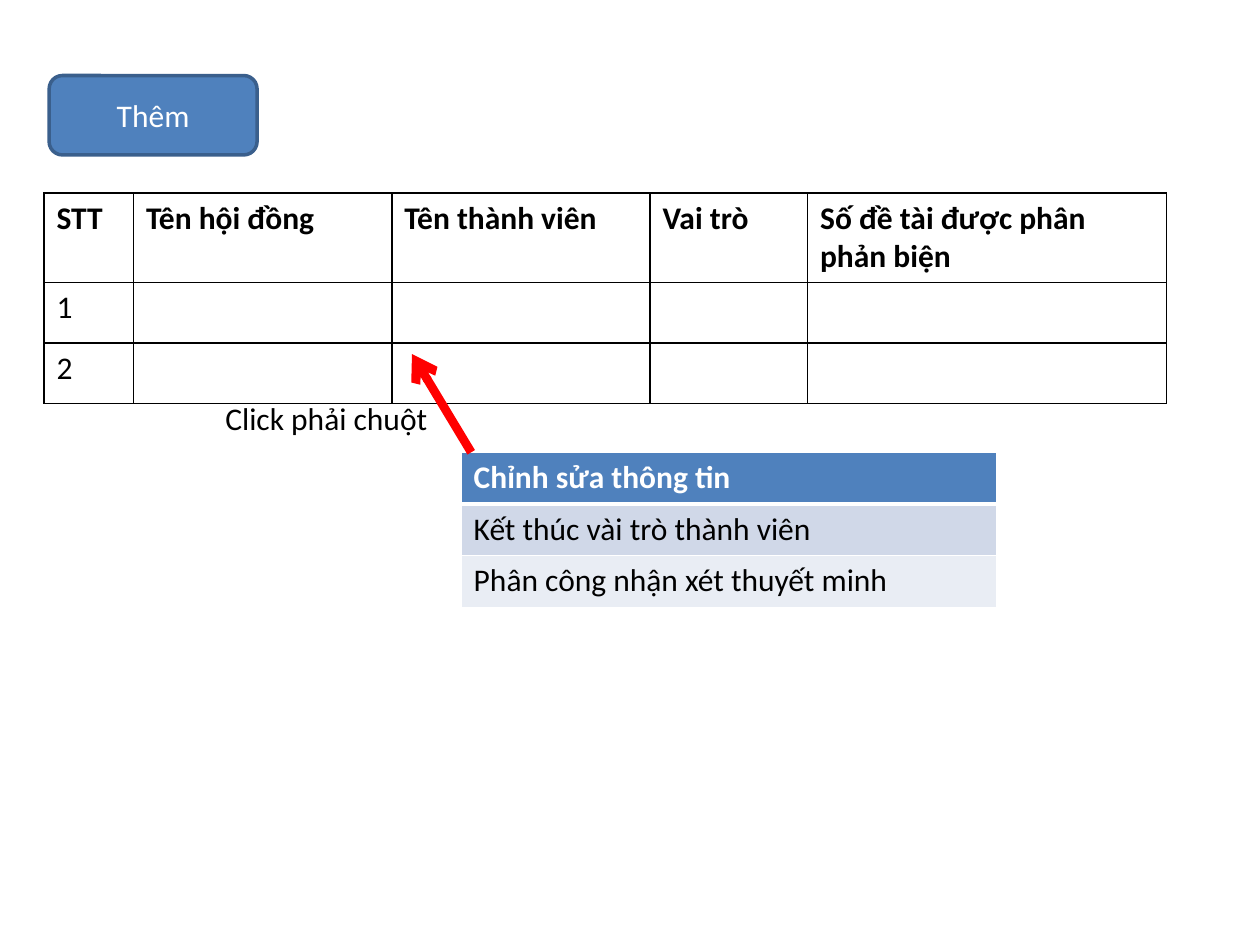
"""Build a slide with a committee table and its right-click menu."""
import pptx
import pptx.dml.color
import pptx.enum.shapes
import pptx.enum.text
import pptx.oxml.ns
import pptx.util
from lxml import etree
from pptx.util import Inches

BLACK = pptx.dml.color.RGBColor(0x00, 0x00, 0x00)
WHITE = pptx.dml.color.RGBColor(0xFF, 0xFF, 0xFF)
RED = pptx.dml.color.RGBColor(0xFF, 0x00, 0x00)
BLUE = pptx.dml.color.RGBColor(0x4F, 0x81, 0xBD)
DARK_BLUE = pptx.dml.color.RGBColor(0x3A, 0x5F, 0x8C)
BAND_DARK = pptx.dml.color.RGBColor(0xD0, 0xD8, 0xE8)
BAND_LIGHT = pptx.dml.color.RGBColor(0xE9, 0xED, 0xF4)


def write(frame, text, color=BLACK, bold=False, align=pptx.enum.text.PP_ALIGN.LEFT):
    para = frame.paragraphs[0]
    para.alignment = align
    para.font.size = pptx.util.Pt(18)
    if text:
        span = para.add_run()
        span.text = text
        span.font.name = "Calibri"
        span.font.size = pptx.util.Pt(18)
        span.font.bold = bold
        span.font.color.rgb = color


def set_borders(cell, color, bottom=1):
    properties = cell._tc.get_or_add_tcPr()
    for side, width in (("lnL", 1), ("lnR", 1), ("lnT", 1), ("lnB", bottom)):
        line = etree.SubElement(properties, pptx.oxml.ns.qn(f"a:{side}"), w=str(pptx.util.Pt(width)))
        fill = etree.SubElement(line, pptx.oxml.ns.qn("a:solidFill"))
        etree.SubElement(fill, pptx.oxml.ns.qn("a:srgbClr"), val=str(color))


deck = pptx.Presentation()
deck.slide_width = Inches(10)
deck.slide_height = Inches(7.5)
page = deck.slides.add_slide(deck.slide_layouts[6])

member_rows = [
    ["STT", "Tên hội đồng", "Tên thành viên", "Vai trò", "Số đề tài được phân phản biện"],
    ["1", "", "", "", ""],
    ["2", "", "", "", ""],
]
members = page.shapes.add_table(3, 5, Inches(0.35), Inches(1.53), Inches(8.91), Inches(1.59)).table
for column, width in zip(members.columns, (0.71, 2.05, 2.05, 1.25, 2.85)):
    column.width = Inches(width)
for row, height, texts in zip(members.rows, (0.63, 0.48, 0.48), member_rows):
    row.height = Inches(height)
    for cell, text in zip(row.cells, texts):
        set_borders(cell, BLACK)
        cell.fill.background()
        write(cell.text_frame, text, bold=texts is member_rows[0])

button = page.shapes.add_shape(
    pptx.enum.shapes.MSO_SHAPE.ROUNDED_RECTANGLE, Inches(0.39), Inches(0.6), Inches(1.65), Inches(0.63)
)
button.shadow.inherit = False
button.fill.solid()
button.fill.fore_color.rgb = BLUE
button.line.color.rgb = DARK_BLUE
button.line.width = pptx.util.Pt(2)
button.text_frame.vertical_anchor = pptx.enum.text.MSO_ANCHOR.MIDDLE
write(button.text_frame, "Thêm", color=WHITE, align=pptx.enum.text.PP_ALIGN.CENTER)

menu_items = [
    ("Chỉnh sửa thông tin", BLUE, WHITE, True, 3),
    ("Kết thúc vài trò thành viên", BAND_DARK, BLACK, False, 1),
    ("Phân công nhận xét thuyết minh", BAND_LIGHT, BLACK, False, 1),
]
menu = page.shapes.add_table(3, 1, Inches(3.66), Inches(3.59), Inches(4.25), Inches(1.23)).table
for row, (text, fill_color, text_color, bold, bottom) in zip(menu.rows, menu_items):
    row.height = Inches(0.41)
    cell = row.cells[0]
    set_borders(cell, WHITE, bottom=bottom)
    cell.fill.solid()
    cell.fill.fore_color.rgb = fill_color
    write(cell.text_frame, text, color=text_color, bold=bold)

arrow = page.shapes.add_connector(
    pptx.enum.shapes.MSO_CONNECTOR.STRAIGHT, Inches(3.74), Inches(3.59), Inches(3.27), Inches(2.81)
)
arrow.line.color.rgb = RED
arrow.line.width = pptx.util.Pt(5)
etree.SubElement(arrow.line._get_or_add_ln(), pptx.oxml.ns.qn("a:tailEnd"), type="arrow")
etree.SubElement(arrow._element.spPr, pptx.oxml.ns.qn("a:effectLst"))

hint = page.shapes.add_textbox(Inches(1.69), Inches(3.12), Inches(1.97), Inches(0.4))
hint.text_frame.word_wrap = True
hint.text_frame.auto_size = pptx.enum.text.MSO_AUTO_SIZE.SHAPE_TO_FIT_TEXT
write(hint.text_frame, "Click phải chuột")

deck.save("out.pptx")
